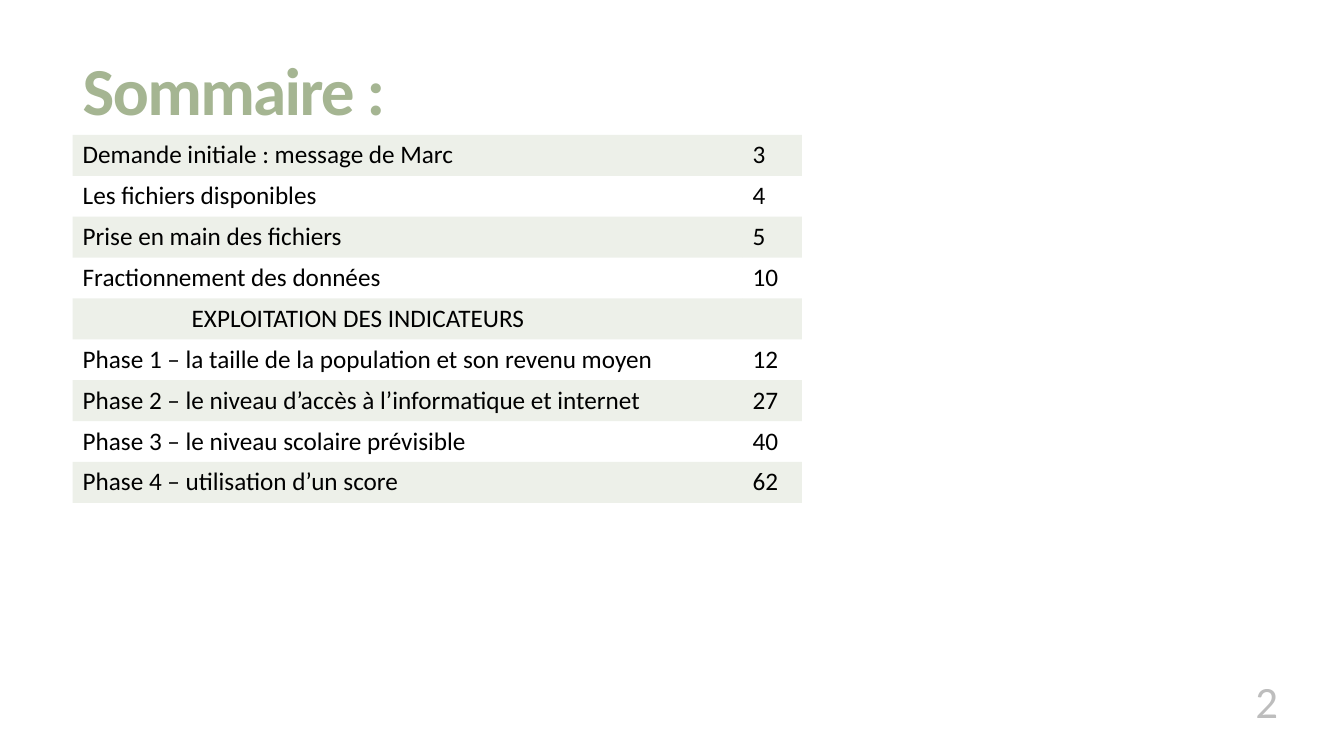
from lxml.etree import SubElement
from pptx import Presentation
from pptx.dml.color import RGBColor
from pptx.enum.text import MSO_ANCHOR as Anchor, MSO_AUTO_SIZE as Fit, PP_ALIGN as Align
from pptx.oxml.ns import qn
from pptx.util import Cm, Pt

TITLE = "Sommaire :"
PAGE = "2"
HEADING = "EXPLOITATION DES INDICATEURS"
ROWS = [
    ("Demande initiale : message de Marc", "3"),
    ("Les fichiers disponibles", "4"),
    ("Prise en main des fichiers", "5"),
    ("Fractionnement des données", "10"),
    (HEADING, ""),
    ("Phase 1 – la taille de la population et son revenu moyen", "12"),
    ("Phase 2 – le niveau d’accès à l’informatique et internet", "27"),
    ("Phase 3 – le niveau scolaire prévisible", "40"),
    ("Phase 4 – utilisation d’un score", "62"),
]
GREEN = RGBColor(0xA5, 0xB5, 0x92)
BLACK = RGBColor(0, 0, 0)
FONT = "Calibri"
LEFT = Cm(1.83)
WIDTHS = Cm(16.88), Cm(1.5)
ROW_H = Cm(1.03)
NO_STYLE = "{2D5ABB26-0587-4C30-8999-92F81FD0307C}"


def fade(node, percent):
    """Make the colour inside an XML node partly opaque."""
    color = next(node.iter(qn("a:srgbClr")))
    SubElement(color, qn("a:alpha")).set("val", str(percent * 1000))


def write(frame, text, size=18, color=BLACK, bold=False, align=Align.LEFT):
    """Write one formatted line and return its run."""
    para = frame.paragraphs[0]
    para.alignment = align
    run = para.add_run()
    run.text = text
    font = run.font
    font.name, font.size, font.bold = FONT, Pt(size), bold
    font.color.rgb = color
    return run


def add_title(slide):
    title = slide.shapes.title
    title.left, title.top = LEFT, Cm(1.4)
    title.width, title.height = Cm(29.92), Cm(2.9)
    frame = title.text_frame
    frame.vertical_anchor = Anchor.TOP
    frame.auto_size = Fit.NONE
    run = write(frame, TITLE, size=48, color=GREEN, bold=True)
    run.font._element.set("spc", "-120")
    frame.paragraphs[0].line_spacing = 0.85


def add_contents(slide):
    shape = slide.shapes.add_table(
        len(ROWS), len(WIDTHS), LEFT, Cm(3.4), sum(WIDTHS), ROW_H * len(ROWS))
    table = shape.table
    table.first_row = table.horz_banding = False
    next(table._tbl.iter(qn("a:tableStyleId"))).text = NO_STYLE
    for col, width in zip(table.columns, WIDTHS):
        col.width = width
    for i, row in enumerate(ROWS):
        table.rows[i].height = ROW_H
        for j, text in enumerate(row):
            cell = table.cell(i, j)
            if text:
                write(cell.text_frame, text)
            if text == HEADING:
                cell.margin_left = Cm(3)
            if i % 2:
                cell.fill.background()
            else:
                cell.fill.solid()
                cell.fill.fore_color.rgb = GREEN
                fade(cell._tc, 20) if not text else fade(cell._tc.tcPr, 20)


def add_page(slide):
    box = slide.shapes.add_textbox(Cm(24.33), Cm(16.33), Cm(8.13), Cm(2.13))
    frame = box.text_frame
    frame.word_wrap = True
    frame.vertical_anchor = Anchor.BOTTOM
    run = write(frame, PAGE, size=32, align=Align.RIGHT)
    fade(run.font._element, 25)


def main():
    deck = Presentation()
    deck.slide_width, deck.slide_height = Cm(33.87), Cm(19.05)
    slide = deck.slides.add_slide(deck.slide_layouts[5])
    add_page(slide)
    add_title(slide)
    add_contents(slide)
    deck.save("out.pptx")


if __name__ == "__main__":
    main()
